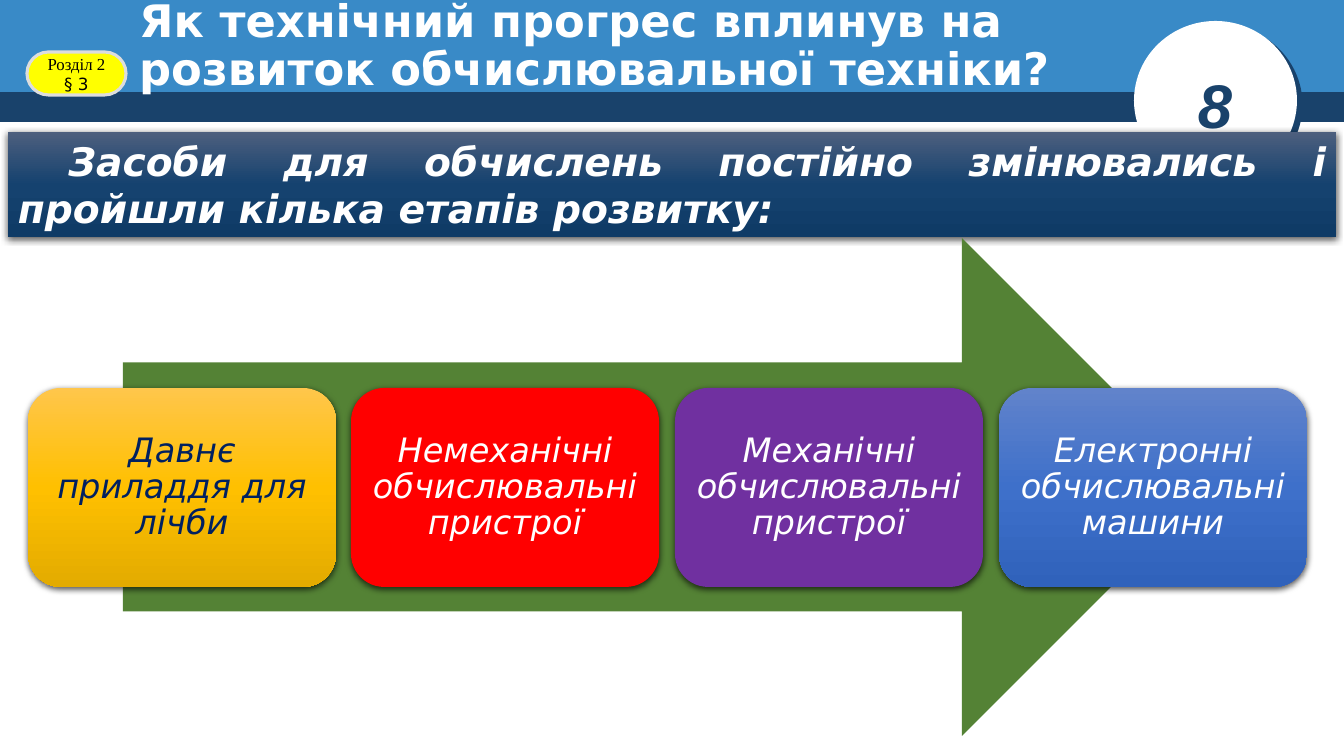
from dataclasses import dataclass

import lxml.etree
import pptx
import pptx.dml.color
import pptx.enum.shapes
import pptx.enum.text
import pptx.oxml.ns
import pptx.util

SHAPE = pptx.enum.shapes.MSO_SHAPE
ALIGN = pptx.enum.text.PP_ALIGN
ANCHOR = pptx.enum.text.MSO_ANCHOR
qn = pptx.oxml.ns.qn
SANS = "DejaVu Sans"
NAVY, BLUE, WHITE = "19426B", "398AC7", "FFFFFF"


@dataclass
class Shadow:
    color: str
    alpha: int
    blur: float
    dist: float
    angle: int


@dataclass
class Card:
    text: str
    fills: tuple[str, ...]
    color: str = WHITE


SOFT = Shadow("000000", 63, 4.5, 1.5, 90)
CARDS = [
    Card("Давнє приладдя для лічби", ("FFC64B", "FFC000", "E3AB00"), "002060"),
    Card("Немеханічні обчислювальні пристрої", ("FF0000",)),
    Card("Механічні обчислювальні пристрої", ("7030A0",)),
    Card("Електронні обчислювальні машини", ("6183CB", "3E70CA", "3062BB")),
]


def px(n: int) -> int:
    return round(n * 914400 / 100.8)


def rgb(color: str) -> pptx.dml.color.RGBColor:
    return pptx.dml.color.RGBColor.from_string(color)


def add_color(parent, color: str):
    return lxml.etree.SubElement(parent, qn("a:srgbClr"), val=color)


def paint(sp, fills: tuple[str, ...]) -> None:
    """Solid fill for one colour, top-to-bottom gradient for several."""
    if len(fills) == 1:
        sp.fill.solid()
        sp.fill.fore_color.rgb = rgb(fills[0])
        return
    sp.fill.gradient()
    sp.fill.gradient_angle = 270
    stops = sp._element.spPr.find(".//" + qn("a:gsLst"))
    stops.clear()
    for i, color in enumerate(fills):
        pos = str(100000 * i // (len(fills) - 1))
        add_color(lxml.etree.SubElement(stops, qn("a:gs"), pos=pos), color)


def add_shadow(sp, shadow: Shadow) -> None:
    effects = sp._element.spPr.find(qn("a:effectLst"))
    outer = lxml.etree.SubElement(
        effects, qn("a:outerShdw"),
        blurRad=str(pptx.util.Pt(shadow.blur)), dist=str(pptx.util.Pt(shadow.dist)),
        dir=str(shadow.angle * 60000), algn="ctr", rotWithShape="0")
    lxml.etree.SubElement(add_color(outer, shadow.color), qn("a:alpha"),
                          val=str(shadow.alpha * 1000))


def add_box(s, kind, box: tuple[int, int, int, int], *fills: str,
            shadow: Shadow | None = None):
    sp = s.shapes.add_shape(kind, *map(px, box))
    sp.shadow.inherit = False
    sp.line.fill.background()
    paint(sp, fills)
    if shadow:
        add_shadow(sp, shadow)
    return sp


def write(sp, text: str, size: int, color: str, font: str | None = SANS,
          bold: bool = False, italic: bool = False, align=ALIGN.CENTER,
          anchor=ANCHOR.MIDDLE):
    tf = sp.text_frame
    tf.word_wrap = True
    tf.auto_size = pptx.enum.text.MSO_AUTO_SIZE.NONE
    tf.vertical_anchor = anchor
    p = tf.paragraphs[0]
    p.alignment = align
    p.add_run().text = text
    p.font.size = pptx.util.Pt(size)
    p.font.name = font
    p.font.bold, p.font.italic = bold, italic
    p.font.color.rgb = rgb(color)
    return p


def main() -> None:
    prs = pptx.Presentation()
    prs.slide_width, prs.slide_height = px(1344), px(756)
    s = prs.slides.add_slide(prs.slide_layouts[5])

    # Header bands and slide number
    add_box(s, SHAPE.RECTANGLE, (0, 88, 1344, 34), NAVY)
    add_box(s, SHAPE.RECTANGLE, (0, 0, 1344, 92), BLUE)
    add_box(s, SHAPE.OVAL, (1134, 21, 163, 159), WHITE,
            shadow=Shadow(NAVY, 100, 0, 5, 37))
    number = s.shapes.add_textbox(*map(px, (1188, 62, 84, 85)))
    write(number, "8", 44, NAVY, "Arial", bold=True, italic=True,
          align=ALIGN.LEFT, anchor=ANCHOR.TOP)

    # Title, brought in front of the bands
    title = s.shapes.title
    title.left, title.top, title.width, title.height = map(px, (129, 18, 998, 58))
    s.shapes._spTree.append(title._element)
    p = write(title, "Як технічний прогрес вплинув на розвиток обчислювальної техніки?",
              32, WHITE, bold=True, align=ALIGN.LEFT)
    p.line_spacing = 0.9

    # Section badge
    badge = add_box(s, SHAPE.ROUNDED_RECTANGLE, (27, 52, 99, 43), "FFFF00")
    badge.adjustments[0] = 0.5
    badge.line.color.rgb = rgb("DDDDDD")
    badge.line.width = pptx.util.Pt(2.25)
    p = write(badge, "Розділ 2 ", 12, "000000", None)
    p.add_run().text = "§ 3"
    for r, font in zip(p.runs, ("Times New Roman", SANS)):
        r.font.name = font

    # Banner
    banner = add_box(s, SHAPE.RECTANGLE, (8, 132, 1328, 105),
                     "4D5F7E", "15426F", "0F3B66", shadow=SOFT)
    p = write(banner, "Засоби для обчислень постійно змінювались і пройшли "
              "кілька етапів розвитку:", 28, WHITE, bold=True, italic=True,
              align=ALIGN.JUSTIFY, anchor=ANCHOR.TOP)
    p._p.get_or_add_pPr().set("indent", str(pptx.util.Inches(0.5)))

    # Arrow with the four stages
    add_box(s, SHAPE.RIGHT_ARROW, (123, 238, 1088, 498), "548235")
    for i, card in enumerate(CARDS):
        sp = add_box(s, SHAPE.ROUNDED_RECTANGLE, (28 + 971 * i // 3, 388, 308, 199),
                     *card.fills, shadow=SOFT)
        p = write(sp, card.text, 24, card.color, italic=True)
        p.line_spacing = 0.9
        tf = sp.text_frame
        tf.margin_left = tf.margin_right = tf.margin_top = tf.margin_bottom = px(9)

    prs.save("out.pptx")


if __name__ == "__main__":
    main()
